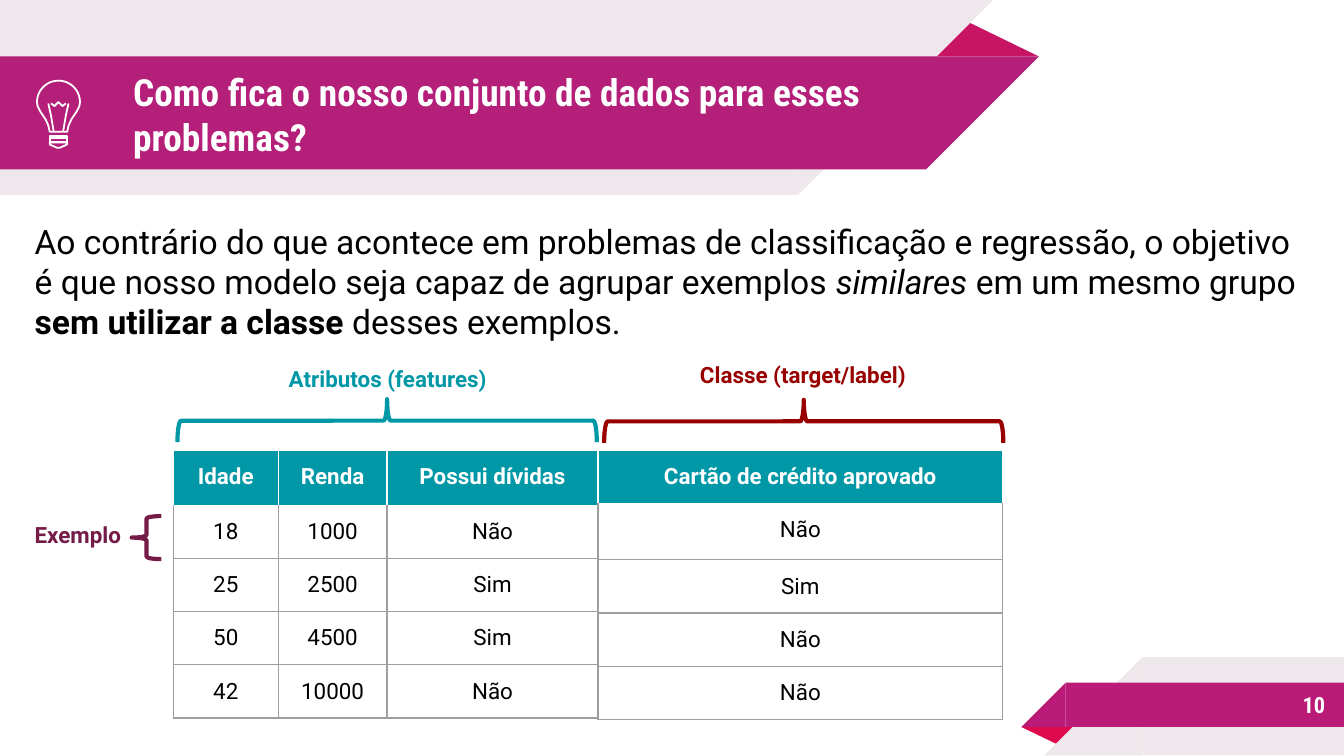
from math import cos, pi, sin

from lxml.etree import SubElement
from pptx import Presentation
from pptx.dml.color import RGBColor
from pptx.enum.shapes import MSO_SHAPE
from pptx.enum.text import MSO_ANCHOR, MSO_AUTO_SIZE, PP_ALIGN
from pptx.oxml import parse_xml
from pptx.oxml.ns import nsdecls, qn
from pptx.util import Inches, Pt

COLORS = {
    "white": "FFFFFF", "black": "000000", "pale": "EEE7EB", "magenta": "B41F79",
    "footer": "BA1B77", "fold": "C71563", "footer fold": "DE094C", "teal": "0097A7",
    "red": "980000", "plum": "741B47", "grid": "9E9E9E",
}


class SlideBuilder:
    """Draws styled elements on a grid of 100 columns by 56.25 rows."""

    text_font = "Roboto"
    title_font = "Roboto Condensed"

    def __init__(self, presentation):
        presentation.slide_width = Inches(10)
        presentation.slide_height = Inches(5.625)
        self.column = presentation.slide_width / 100
        self.row = presentation.slide_height / 56.25
        self.slide = presentation.slides.add_slide(presentation.slide_layouts[5])

    def color(self, name):
        return RGBColor.from_string(COLORS[name])

    def across(self, columns):
        return round(columns * self.column)

    def down(self, rows):
        return round(rows * self.row)

    def place(self, left, top, width, height):
        return self.across(left), self.down(top), self.across(width), self.down(height)

    def style_font(self, font, size, color, bold=False, name=None):
        font.name = name or self.text_font
        font.size = Pt(size)
        font.bold = bold
        font.color.rgb = self.color(color)

    def fill_frame(self, frame, runs, size, color, bold, name, align, anchor):
        frame.word_wrap = True
        frame.auto_size = MSO_AUTO_SIZE.NONE
        frame.vertical_anchor = anchor
        frame.margin_left = frame.margin_right = Inches(0.1)
        frame.margin_top = frame.margin_bottom = Inches(0.1)
        paragraph = frame.paragraphs[0]
        paragraph.alignment = align
        self.style_font(paragraph.font, size, color, bold, name)
        for text, emphasis in runs:
            run = paragraph.add_run()
            run.text = text
            if emphasis == "italic":
                run.font.italic = True
            elif emphasis == "bold":
                run.font.bold = True

    def title(self, text, place):
        shape = self.slide.shapes.title
        shape.left, shape.top, shape.width, shape.height = self.place(*place)
        self.fill_frame(shape.text_frame, [(text, None)], 20, "white", True,
                        self.title_font, PP_ALIGN.LEFT, MSO_ANCHOR.MIDDLE)

    def text(self, runs, place, size=12, color="black", bold=True, name=None,
             align=PP_ALIGN.LEFT, anchor=MSO_ANCHOR.TOP):
        shape = self.slide.shapes.add_textbox(*self.place(*place))
        self.fill_frame(shape.text_frame, runs, size, color, bold, name, align, anchor)

    def block(self, kind, place, color, rotation=0):
        shape = self.slide.shapes.add_shape(kind, *self.place(*place))
        shape.shadow.inherit = False
        shape.fill.solid()
        shape.fill.fore_color.rgb = self.color(color)
        shape.line.fill.background()
        shape.rotation = rotation
        return shape

    def fold(self, place, color, rotation=0):
        self.block(MSO_SHAPE.ISOSCELES_TRIANGLE, place, color, rotation).adjustments[0] = 0.324

    def brace(self, place, color, rotation=0):
        shape = self.slide.shapes.add_shape(MSO_SHAPE.LEFT_BRACE, *self.place(*place))
        shape.shadow.inherit = False
        shape.fill.background()
        shape.line.color.rgb = self.color(color)
        shape.line.width = Pt(2.25)
        shape.rotation = rotation

    def outlines(self, drawings):
        group = self.slide.shapes.add_group_shape()
        for points, closed in drawings:
            spots = [(self.across(x), self.down(y)) for x, y in points]
            builder = group.shapes.build_freeform(*spots[0])
            builder.add_line_segments(spots[1:], close=closed)
            shape = builder.convert_to_shape()
            shape.shadow.inherit = False
            shape.fill.background()
            shape.line.color.rgb = self.color("white")
            shape.line.width = Pt(0.96)

    def borders(self, cell, sides):
        properties = cell._tc.get_or_add_tcPr()
        for index, (side, color) in enumerate(sides.items()):
            line = parse_xml(f'<a:ln{side} {nsdecls("a")} w="{Pt(0.75)}"/>')
            fill = SubElement(line, qn("a:solidFill"))
            SubElement(fill, qn("a:srgbClr")).set("val", COLORS[color])
            properties.insert(index, line)

    def table(self, left, top, widths, heights, rows):
        frame = self.slide.shapes.add_table(
            len(rows), len(widths), *self.place(left, top, sum(widths), sum(heights)))
        table = frame.table
        table.first_row = table.horz_banding = False
        for column, width in zip(table.columns, widths):
            column.width = self.across(width)
        for index, (row, height, values) in enumerate(zip(table.rows, heights, rows)):
            row.height = self.down(height)
            header = index == 0
            edge = "white" if header else "grid"
            for cell, value in zip(row.cells, values):
                cell.text = value
                cell.margin_left = cell.margin_right = Inches(0.1)
                cell.margin_top = cell.margin_bottom = Inches(0.1)
                paragraph = cell.text_frame.paragraphs[0]
                paragraph.alignment = PP_ALIGN.CENTER
                self.style_font(paragraph.font, 12, "white" if header else "black", header)
                if header:
                    cell.fill.solid()
                    cell.fill.fore_color.rgb = self.color("teal")
                else:
                    cell.fill.background()
                self.borders(cell, {"L": edge, "R": edge,
                                    "T": "white" if index < 2 else "grid", "B": edge})


def bulb_drawings():
    axis, radius = 4.35, 1.6

    def mirror(points):
        return [(2 * axis - x, y) for x, y in points]

    side = [(5, 9.8), (5.1, 9.35), (5.3, 8.9), (5.7, 8.3), (5.9, 7.9)]
    dome = [(axis + radius * cos(step * pi / 20), 7.6 - radius * sin(step * pi / 20))
            for step in range(21)]
    foot = [(5, 10.6), (5, 10.75), (4.9, 10.8), (4.45, 11)]
    filament = [(4, 9.8), (3.8, 8.6), (3.6, 7.7)]
    coil = [(3.8, 7.7), (4.05, 7.9), (4.35, 7.6), (4.65, 7.9), (4.9, 7.7)]
    rings = [([(3.7, top), (5, top), (5, bottom), (3.7, bottom)], True)
             for top, bottom in ((10.1, 10.3), (10.3, 10.6))]
    return rings + [
        (foot + mirror(foot)[::-1], True),
        (side + dome + mirror(side)[::-1], True),
        (filament, False), (mirror(filament), False), (coil, False),
    ]


def main():
    presentation = Presentation()
    builder = SlideBuilder(presentation)
    rectangle, corner = MSO_SHAPE.RECTANGLE, MSO_SHAPE.RIGHT_TRIANGLE

    builder.fold((68.8, 1.4, 8.5, 2.8), "fold")
    for top, width, height, color in ((0, 59.4, 14.5, "pale"), (4.2, 68.9, 8.4, "magenta")):
        builder.block(rectangle, (0, top, width, height), color)
        builder.block(corner, (width, top, height, height), color, 90)
    builder.fold((76, 54.1, 4.3, 1.4), "footer fold", 180)
    for left, top, height, color in ((85, 48.9, 7.3, "pale"), (79.3, 50.8, 3.3, "footer")):
        builder.block(rectangle, (left, top, 100 - left, height), color)
        builder.block(corner, (left - height, top, height, height), color, 270)

    builder.title("Como fica o nosso conjunto de dados para esses problemas?",
                  (8.9, 4.3, 57.5, 8.4))
    title_shape = builder.slide.shapes.title._element
    title_shape.getparent().append(title_shape)
    builder.outlines(bulb_drawings())
    builder.text([
        ("Ao contrário do que acontece em problemas de classificação e regressão, "
         "o objetivo é que nosso modelo seja capaz de agrupar exemplos ", None),
        ("similares", "italic"), (" em um mesmo grupo ", None),
        ("sem utilizar a classe ", "bold"), ("desses exemplos.", None),
    ], (1.6, 15.4, 96.8, 10.1), size=18, bold=False)

    builder.table(12.9, 33.5, [7.8, 8.1, 15.7], [4.1] + [3.95] * 4, [
        ("Idade", "Renda", "Possui dívidas"), ("18", "1000", "Não"),
        ("25", "2500", "Sim"), ("50", "4500", "Sim"), ("42", "10000", "Não")])
    builder.text([("Classe (target/label)", None)], (43.2, 25.9, 33.1, 4.5),
                 color="red", align=PP_ALIGN.CENTER)
    builder.text([("Atributos (features)", None)], (12.9, 26.2, 31.9, 4.5),
                 color="teal", align=PP_ALIGN.CENTER)
    builder.brace((27.2, 15.7, 3.2, 31.2), "teal", 90)
    builder.text([("Exemplo", None)], (1.6, 37.8, 9.6, 4.5), color="plum")
    builder.brace((9.8, 38.4, 2.2, 3.2), "plum")
    builder.brace((58.2, 16.5, 3.2, 29.7), "red", 90)
    builder.table(44.5, 33.5, [30.1], [3.9, 4.2] + [3.95] * 3, [
        ("Cartão de crédito aprovado",), ("Não",), ("Sim",), ("Não",), ("Não",)])
    builder.text([("10", None)], (83.3, 50.7, 16.3, 3.5), color="white",
                 name=builder.title_font, align=PP_ALIGN.RIGHT, anchor=MSO_ANCHOR.MIDDLE)
    presentation.save("out.pptx")


if __name__ == "__main__":
    main()
